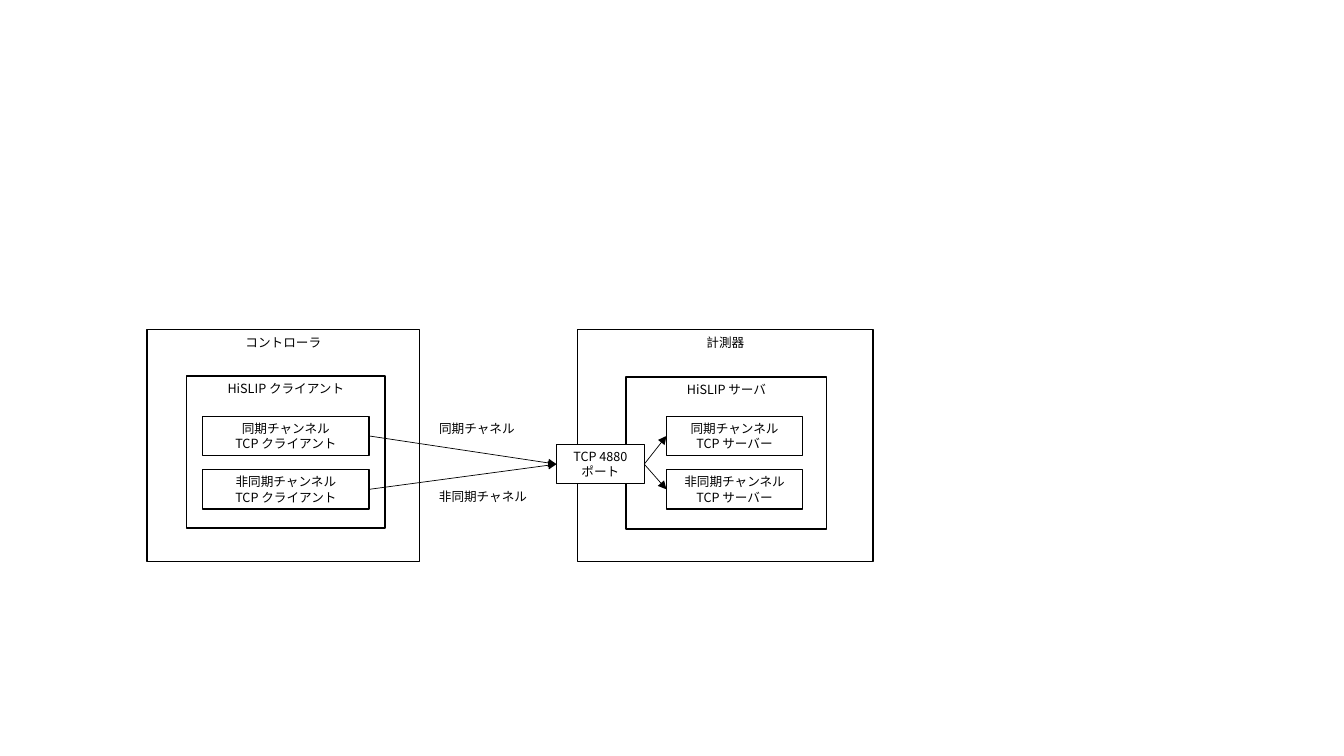
import pptx
import pptx.util
import pptx.dml.color
import pptx.enum.shapes
import pptx.enum.text
import pptx.oxml.ns
from lxml import etree

Inches = pptx.util.Inches
FONT = "Noto Sans CJK JP"
BLACK, WHITE = "000000", "FFFFFF"
TOP, BOTTOM, LEFT, RIGHT = 0, 2, 1, 3
ROW_TOP, ROW_STEP, ROW_HEIGHT = 0.86, 0.53, 0.39


def color(value):
    return pptx.dml.color.RGBColor.from_string(value)


def add_element(parent, tag, **attributes):
    return etree.SubElement(parent, pptx.oxml.ns.qn(tag), **attributes)


def write(shape, text, size=9, fill=BLACK, middle=False, grow=False):
    frame = shape.text_frame
    frame.word_wrap = True
    anchors = pptx.enum.text.MSO_ANCHOR
    frame.vertical_anchor = anchors.MIDDLE if middle else anchors.TOP
    if grow:
        frame.auto_size = pptx.enum.text.MSO_AUTO_SIZE.SHAPE_TO_FIT_TEXT
    frame.text = text
    for paragraph in frame.paragraphs:
        paragraph.alignment = pptx.enum.text.PP_ALIGN.CENTER
        for run in paragraph.runs:
            run.font.size = pptx.util.Pt(size)
            run.font.color.rgb = color(fill)
            run.font.name = FONT
            add_element(run.font._element, "a:ea", typeface=FONT)


def add_box(slide, box, text, middle=False):
    shape = slide.shapes.add_shape(
        pptx.enum.shapes.MSO_SHAPE.RECTANGLE, *map(Inches, box))
    shape.shadow.inherit = False
    shape.fill.solid()
    shape.fill.fore_color.rgb = color(WHITE)
    shape.line.color.rgb = color(BLACK)
    shape.line.width = pptx.util.Pt(1)
    write(shape, text, middle=middle)
    return shape


def add_label(slide, box, text):
    write(slide.shapes.add_textbox(*map(Inches, box)), text, grow=True)


def add_arrow(slide, source, target):
    arrow = slide.shapes.add_connector(
        pptx.enum.shapes.MSO_CONNECTOR.STRAIGHT, 0, 0, 0, 0)
    arrow.begin_connect(source, RIGHT)
    arrow.end_connect(target, LEFT)
    arrow.line.color.rgb = color(BLACK)
    arrow.line.width = pptx.util.Pt(0.5)
    add_element(arrow.line._get_or_add_ln(), "a:tailEnd", type="triangle")
    add_element(arrow._element.spPr, "a:effectLst")


def add_device(slide, box, name, protocol, role, inner, channel):
    left, top, _, _ = box
    inner_left, inner_top, inner_width, inner_height = inner
    channel_left, channel_width = channel
    add_box(slide, box, name)
    add_box(slide, (left + inner_left, top + inner_top, inner_width, inner_height), protocol)
    return [
        add_box(slide,
                (left + channel_left, top + ROW_TOP + row * ROW_STEP, channel_width, ROW_HEIGHT),
                f"{mode}チャンネル\nTCP {role}", middle=True)
        for row, mode in enumerate(("同期", "非同期"))
    ]


def add_connection(slide, box, clients, servers):
    left, top, _, _ = box
    add_label(slide, (left - 1.61, top - 0.28, 1.64, 0.25), "同期チャネル")
    add_label(slide, (left - 1.55, top + 0.39, 1.64, 0.25), "非同期チャネル")
    port = add_box(slide, box, "TCP 4880 ポート", middle=True)
    for client in clients:
        add_arrow(slide, client, port)
    for server in servers:
        add_arrow(slide, port, server)


def main():
    deck = pptx.Presentation()
    deck.slide_width, deck.slide_height = Inches(13.33), Inches(7.5)
    slide = deck.slides.add_slide(deck.slide_layouts[6])
    servers = add_device(slide, (5.73, 3.27, 2.93, 2.3), "計測器", "HiSLIP サーバ", "サーバー",
                         inner=(0.48, 0.47, 1.99, 1.51), channel=(0.88, 1.35))
    clients = add_device(slide, (1.46, 3.27, 2.7, 2.3), "コントローラ", "HiSLIP クライアント",
                         "クライアント", inner=(0.39, 0.46, 1.97, 1.51), channel=(0.55, 1.65))
    add_connection(slide, (5.52, 4.41, 0.87, 0.39), clients, servers)
    deck.save("out.pptx")


if __name__ == "__main__":
    main()
